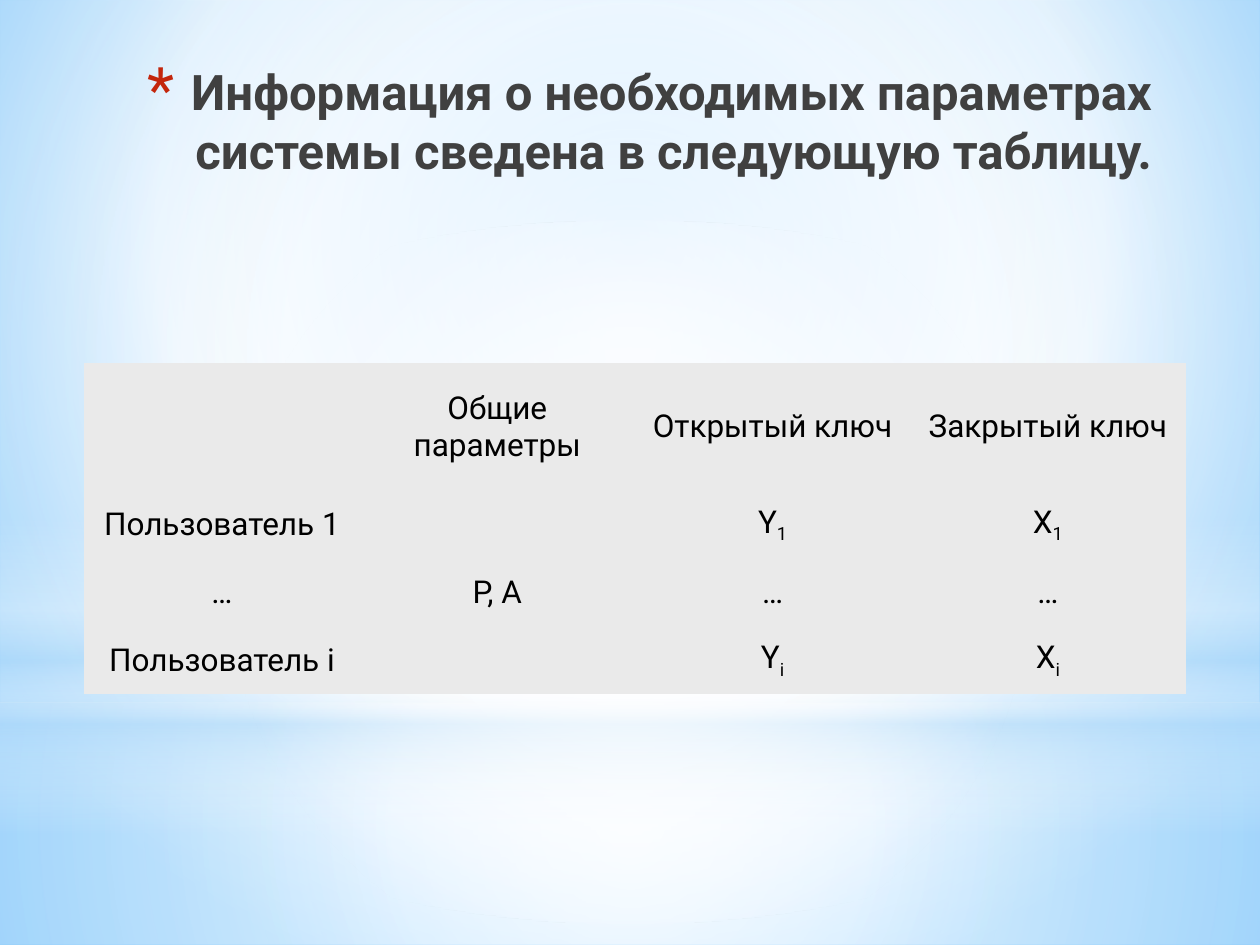
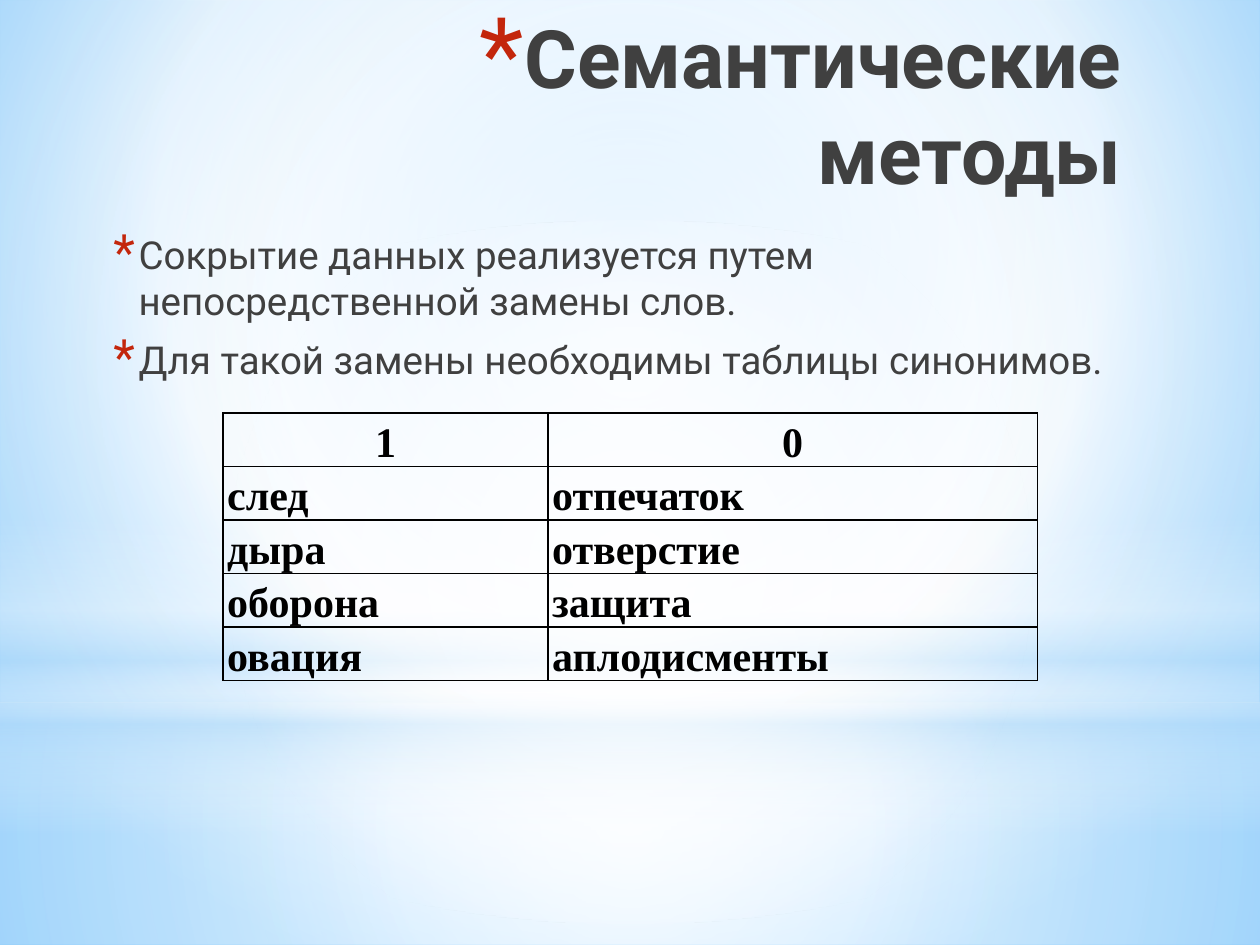
import pptx
import pptx.util
import pptx.dml.color
import pptx.enum.shapes
import pptx.enum.text
import pptx.oxml
import pptx.oxml.ns
from dataclasses import dataclass
from lxml import etree

Cm = pptx.util.Cm
Pt = pptx.util.Pt
qn = pptx.oxml.ns.qn
Shape = pptx.enum.shapes.MSO_SHAPE
Align = pptx.enum.text.PP_ALIGN
Anchor = pptx.enum.text.MSO_ANCHOR


@dataclass(frozen=True)
class Theme:
    font: str = "Roboto"
    table_font: str = "Times New Roman"
    text: str = "404040"
    accent: str = "C3260C"
    black: str = "000000"
    white: str = "FFFFFF"
    sky: str = "B4DCFA"
    sky_mid: str = "9ED5FF"
    sky_deep: str = "5BB9FF"
    panel: str = "EAEAEA"
    heading_size: int = 28
    large_heading_size: int = 46
    body_size: int = 22
    key_size: int = 18
    synonym_size: int = 24
    plain_table: str = "{2D5ABB26-0587-4C30-8999-92F81FD0307C}"


THEME = Theme()
WIDTH, HEIGHT, HORIZON = 25.4, 19.05, 14.17
CENTRE = (50, 50, 50, 50)

SKY = [(0, THEME.sky_mid, 100), (60, THEME.white, 100), (100, THEME.sky_deep, 100)]
SKY_FOCUS = (20, 10, 20, 60)
BANDS = [
    (Shape.RECTANGLE, HORIZON, HEIGHT - HORIZON, CENTRE,
     [(0, THEME.white, 91), (37, THEME.white, 76), (100, THEME.sky, 79)]),
    (Shape.RECTANGLE, 0, HORIZON, CENTRE,
     [(0, THEME.white, 89), (48, THEME.white, 62), (100, THEME.sky, 79)]),
    (Shape.RECTANGLE, 10.46, 6.35, None,
     [(0, THEME.white, 0), (29, THEME.white, 30), (45, THEME.sky, 40),
      (55, THEME.white, 26), (65, THEME.sky, 60), (100, THEME.white, 0)]),
    (Shape.OVAL, 4.45, HORIZON, CENTRE, [(0, THEME.white, 100), (56, THEME.white, 0)]),
]

KEYS_TITLE = "Информация о необходимых параметрах системы сведена в следующую таблицу."
KEYS = [
    ["", "Общие параметры", "Открытый ключ", "Закрытый ключ"],
    ["Пользователь 1", "Р, А", "Y_1", "Х_1"],
    ["…", "", "…", "…"],
    ["Пользователь i", "", "Y_i", "Х_i"],
]

SEMANTIC_TITLE = "Семантические методы"
SEMANTIC_POINTS = [
    "Сокрытие данных реализуется путем непосредственной замены слов.",
    "Для такой замены необходимы таблицы синонимов.",
]
SYNONYMS = [
    ["1", "0"],
    ["след", "отпечаток"],
    ["дыра", "отверстие"],
    ["оборона", "защита"],
    ["овация", "аплодисменты"],
]


def rgb(value):
    return pptx.dml.color.RGBColor.from_string(value)


def set_gradient(container, stops, focus):
    gradient = etree.Element(qn("a:gradFill"), rotWithShape="1")
    stop_list = etree.SubElement(gradient, qn("a:gsLst"))
    for position, color, opacity in stops:
        stop = etree.SubElement(stop_list, qn("a:gs"), pos=str(position * 1000))
        color_element = etree.SubElement(stop, qn("a:srgbClr"), val=color)
        if opacity < 100:
            etree.SubElement(color_element, qn("a:alpha"), val=str(opacity * 1000))
    if focus:
        circle = etree.SubElement(gradient, qn("a:path"), path="circle")
        sides = {side: str(value * 1000) for side, value in zip("ltrb", focus)}
        etree.SubElement(circle, qn("a:fillToRect"), **sides)
    else:
        etree.SubElement(gradient, qn("a:lin"), ang="5400000", scaled="0")
    container.replace(container.find(qn("a:solidFill")), gradient)


def paint_master(presentation, slide):
    master = presentation.slide_master
    master.background.fill.solid()
    set_gradient(next(master.element.iter(qn("p:bgPr"))), SKY, SKY_FOCUS)
    tree = next(master.element.iter(qn("p:spTree")))
    for index, (kind, top, height, focus, stops) in enumerate(BANDS):
        shape = slide.shapes.add_shape(kind, 0, Cm(top), Cm(WIDTH), Cm(height))
        shape.shadow.inherit = False
        shape.line.fill.background()
        shape.fill.solid()
        set_gradient(shape.element.spPr, stops, focus)
        next(shape.element.iter(qn("p:cNvPr"))).set("id", str(100 + index))
        tree.insert(2 + index, shape.element)


def place(shape, left, top, width, height):
    shape.left, shape.top, shape.width, shape.height = map(Cm, (left, top, width, height))


def add_run(paragraph, text, font, size, color, bold=False):
    run = paragraph.add_run()
    run.text = text
    run.font.name = font
    run.font.size = Pt(size)
    run.font.bold = bold
    run.font.color.rgb = rgb(color)
    return run


def add_bullet(paragraph, percent, indent, hanging):
    properties = paragraph._p.get_or_add_pPr()
    properties.set("marL", str(Cm(indent)))
    properties.set("indent", str(-Cm(hanging)))
    color = etree.SubElement(properties, qn("a:buClr"))
    etree.SubElement(color, qn("a:srgbClr"), val=THEME.accent)
    etree.SubElement(properties, qn("a:buSzPct"), val=str(percent * 1000))
    etree.SubElement(properties, qn("a:buFont"), typeface=THEME.font)
    etree.SubElement(properties, qn("a:buChar"), char="*")


def prepare_frame(shape):
    frame = shape.text_frame
    frame.word_wrap = True
    frame.auto_size = pptx.enum.text.MSO_AUTO_SIZE.NONE
    frame.vertical_anchor = Anchor.TOP
    return frame


def add_title(slide, text, size, box):
    title = slide.shapes.title
    place(title, *box)
    paragraph = prepare_frame(title).paragraphs[0]
    add_bullet(paragraph, 128, 0.89, 0.89)
    paragraph.alignment = Align.RIGHT
    add_run(paragraph, text, THEME.font, size, THEME.text, True)


def add_points(slide, points, box):
    body = slide.placeholders[1]
    place(body, *box)
    frame = prepare_frame(body)
    for index, point in enumerate(points):
        paragraph = frame.add_paragraph() if index else frame.paragraphs[0]
        add_bullet(paragraph, 130, 0.64, 0.51)
        paragraph.space_before = Pt(0.2 * THEME.body_size if index else 0)
        paragraph.space_after = Pt(3)
        add_run(paragraph, point, THEME.font, THEME.body_size, THEME.text)


def add_grid(slide, rows, left, top, widths, heights):
    frame = slide.shapes.add_table(len(rows), len(widths), Cm(left), Cm(top),
                                   Cm(sum(widths)), Cm(sum(heights)))
    table = frame.table
    table.first_row = table.horz_banding = False
    next(frame.element.iter(qn("a:tableStyleId"))).text = THEME.plain_table
    for column, width in zip(table.columns, widths):
        column.width = Cm(width)
    for row, height in zip(table.rows, heights):
        row.height = Cm(height)
    return table


def set_margins(cell, horizontal, vertical):
    cell.margin_left = cell.margin_right = Cm(horizontal)
    cell.margin_top = cell.margin_bottom = Cm(vertical)


def add_borders(cell):
    properties = cell._tc.get_or_add_tcPr()
    for side in ("a:lnL", "a:lnR", "a:lnT", "a:lnB"):
        line = etree.SubElement(properties, qn(side), w=str(Pt(1)))
        fill = etree.SubElement(line, qn("a:solidFill"))
        etree.SubElement(fill, qn("a:srgbClr"), val=THEME.black)


def add_key_table(slide):
    table = add_grid(slide, KEYS, 1.7, 7.32, [5.55] * 4, [2.57] + [1.37] * 3)
    for row_index, row in enumerate(KEYS):
        for column_index, text in enumerate(row):
            cell = table.cell(row_index, column_index)
            cell.fill.solid()
            cell.fill.fore_color.rgb = rgb(THEME.panel)
            if not text:
                continue
            set_margins(cell, 0.05, 0.05)
            cell.vertical_anchor = Anchor.MIDDLE
            paragraph = cell.text_frame.paragraphs[0]
            paragraph.alignment = Align.CENTER
            base, _, subscript = text.partition("_")
            add_run(paragraph, base, THEME.font, THEME.key_size, THEME.black)
            if subscript:
                run = add_run(paragraph, subscript, THEME.font, THEME.key_size, THEME.black)
                run._r.get_or_add_rPr().set("baseline", "-25000")
    table.cell(1, 1).merge(table.cell(3, 1))


def add_synonym_table(slide):
    table = add_grid(slide, SYNONYMS, 4.5, 8.33, [6.55, 9.86], [0.97] * len(SYNONYMS))
    for row_index, row in enumerate(SYNONYMS):
        for column_index, text in enumerate(row):
            cell = table.cell(row_index, column_index)
            add_borders(cell)
            cell.fill.background()
            set_margins(cell, 0.08, 0)
            paragraph = cell.text_frame.paragraphs[0]
            paragraph.alignment = Align.LEFT if row_index else Align.CENTER
            paragraph.line_spacing = 1.15
            add_run(paragraph, text, THEME.table_font, THEME.synonym_size, THEME.black, True)


def main():
    presentation = pptx.Presentation()
    presentation.slide_width, presentation.slide_height = Cm(WIDTH), Cm(HEIGHT)
    layouts = presentation.slide_layouts

    keys_slide = presentation.slides.add_slide(layouts.get_by_name("Title Only"))
    paint_master(presentation, keys_slide)
    add_title(keys_slide, KEYS_TITLE, THEME.heading_size, (1.7, 1.12, 21.77, 3.18))
    add_key_table(keys_slide)

    semantic_slide = presentation.slides.add_slide(layouts.get_by_name("Title and Content"))
    add_title(semantic_slide, SEMANTIC_TITLE, THEME.large_heading_size, (2.9, 0.03, 19.96, 3.18))
    add_points(semantic_slide, SEMANTIC_POINTS, (1.9, 4.52, 21.79, 13.84))
    add_synonym_table(semantic_slide)

    presentation.save("out.pptx")


if __name__ == "__main__":
    main()
